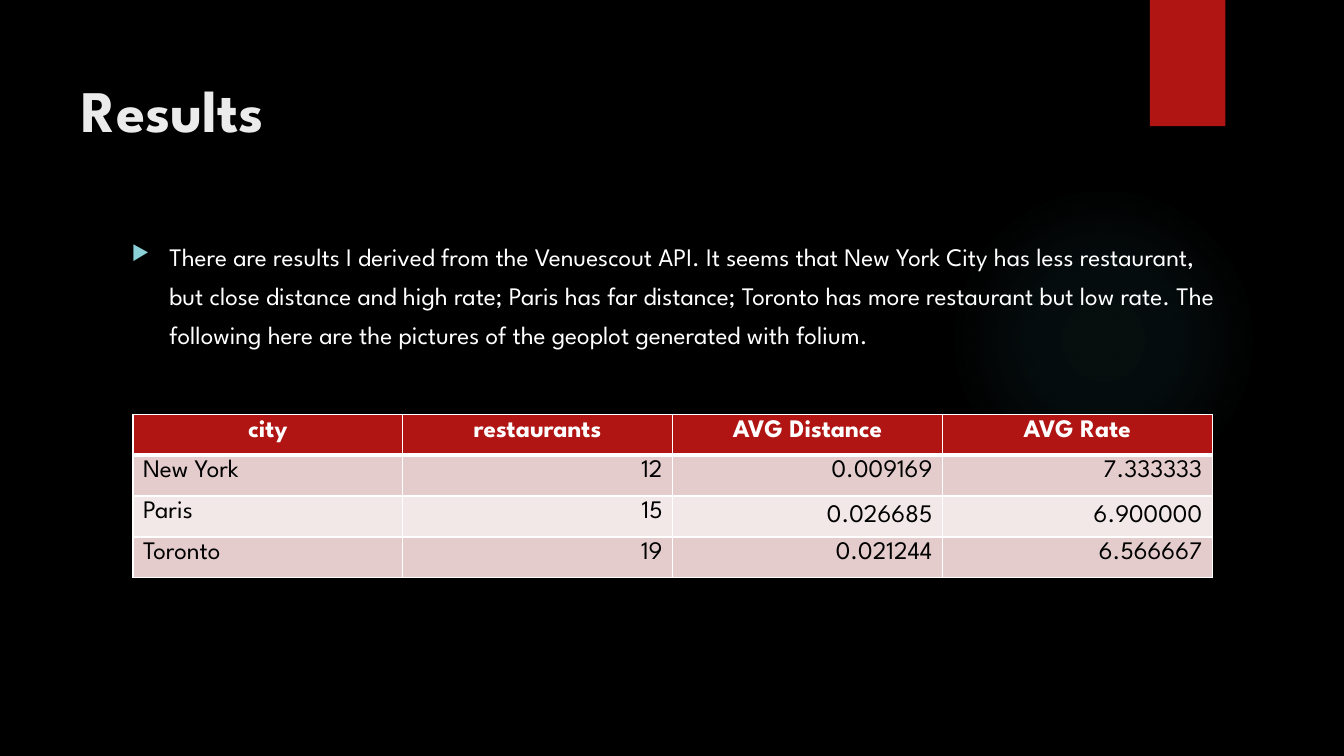
from dataclasses import dataclass
from lxml.etree import SubElement
from pptx import Presentation
from pptx.dml.color import RGBColor
from pptx.enum.shapes import MSO_SHAPE
from pptx.enum.text import MSO_ANCHOR, MSO_AUTO_SIZE, PP_ALIGN
from pptx.oxml import parse_xml
from pptx.oxml.ns import nsdecls, qn
from pptx.util import Cm, Pt

# Content
TITLE = "Results"
BODY = ("There are results I derived from the Venuescout API. It seems that "
        "New York City has less restaurant, but close distance and high rate; "
        "Paris has far distance; Toronto has more restaurant but low rate. The "
        "following here are the pictures of the geoplot generated with folium.")
ROWS = [
    ("city", "restaurants", "AVG Distance", "AVG Rate"),
    ("New York", "12", "0.009169", "7.333333"),
    ("Paris", "15", "0.026685", "6.900000"),
    ("Toronto", "19", "0.021244", "6.566667"),
]
MIDDLE = {(2, 2), (2, 3)}  # cells with vertically centred text
GLOW = [(0, 7), (36, 6), (69, 0)]  # position and opacity, in percent


@dataclass(frozen=True)
class Theme:
    font: str = "League Spartan"
    back: str = "000000"
    ink: str = "000000"
    white: str = "FFFFFF"
    title: str = "EBEBEB"
    red: str = "B01513"
    bands: tuple = ("F2E8E7", "E4CCCC")
    glow: str = "50B9C1"
    bullet: str = "8AD0D6"
    big: int = 42
    small: int = 18


T = Theme()


def paint(fill, color):
    fill.solid()
    fill.fore_color.rgb = RGBColor.from_string(color)


def write(frame, text, size=T.small, color=T.white, bold=False,
          align=PP_ALIGN.LEFT):
    para = frame.paragraphs[0]
    para.alignment = align
    run = para.add_run()
    run.text = text
    font = run.font
    font.name, font.size, font.bold = T.font, Pt(size), bold
    font.color.rgb = RGBColor.from_string(color)
    return para


def shape(slide, kind, *box):
    item = slide.shapes.add_shape(kind, *map(Cm, box))
    item.shadow.inherit = False
    item.line.fill.background()
    return item


def halo(item):
    stops = "".join(
        f'<a:gs pos="{pos * 1000}"><a:srgbClr val="{T.glow}">'
        f'<a:alpha val="{alpha * 1000}"/></a:srgbClr></a:gs>'
        for pos, alpha in GLOW)
    grad = parse_xml(
        f'<a:gradFill {nsdecls("a")} rotWithShape="1"><a:gsLst>{stops}</a:gsLst>'
        '<a:path path="circle"><a:fillToRect l="50000" t="50000" r="50000" '
        'b="50000"/></a:path></a:gradFill>')
    item._element.spPr.find(qn("a:prstGeom")).addnext(grad)


def bullet(para, indent):
    props = para._p.get_or_add_pPr()
    props.set("marL", str(indent))
    props.set("indent", str(-indent))
    tint = SubElement(props, qn("a:buClr"))
    SubElement(tint, qn("a:srgbClr"), val=T.bullet)
    SubElement(props, qn("a:buSzPct"), val="80000")
    SubElement(props, qn("a:buChar"), char="▶")


def border(cell, **widths):
    props = cell._tc.get_or_add_tcPr()
    for spot, side in enumerate("LRTB"):
        line = parse_xml(
            f'<a:ln{side} {nsdecls("a")} w="{Pt(widths.get(side, 1))}">'
            f'<a:solidFill><a:srgbClr val="{T.white}"/></a:solidFill>'
            f'</a:ln{side}>')
        props.insert(spot, line)


def grid(slide, left, top, wide, high):
    count, span = len(ROWS), len(ROWS[0])
    table = slide.shapes.add_table(
        count, span, Cm(left), Cm(top), Cm(wide * span), Cm(high * count)).table
    for col in table.columns:
        col.width = Cm(wide)
    for r, row in enumerate(ROWS):
        table.rows[r].height = Cm(high)
        head = r == 0
        for c, text in enumerate(row):
            cell = table.cell(r, c)
            paint(cell.fill, T.red if head else T.bands[r % 2])
            border(cell, B=3 if head else 1, T=3 if r == 1 else 1)
            cell.vertical_anchor = (
                MSO_ANCHOR.MIDDLE if (r, c) in MIDDLE else MSO_ANCHOR.TOP)
            side = PP_ALIGN.RIGHT if c else PP_ALIGN.LEFT
            write(cell.text_frame, text, bold=head,
                  color=T.white if head else T.ink,
                  align=PP_ALIGN.CENTER if head else side)


def main():
    deck = Presentation()
    deck.slide_width, deck.slide_height = Cm(33.87), Cm(19.05)
    slide = deck.slides.add_slide(deck.slide_layouts[5])
    paint(slide.background.fill, T.back)

    # Soft glow and red tab
    halo(shape(slide, MSO_SHAPE.OVAL, 23.9, 4.65, 7.82, 7.82))
    tab = shape(slide, MSO_SHAPE.RECTANGLE, 28.98, 0, 1.9, 3.18)
    paint(tab.fill, T.red)

    # Title
    head = slide.shapes.title
    head.left, head.top, head.width, head.height = map(
        Cm, (1.8, 1.27, 26.14, 3.89))
    frame = head.text_frame
    frame.auto_size = MSO_AUTO_SIZE.NONE
    frame.vertical_anchor = MSO_ANCHOR.TOP
    frame.margin_top = Cm(0.58)
    write(frame, TITLE, size=T.big, color=T.title, bold=True)

    # Body
    frame = slide.shapes.add_textbox(
        *map(Cm, (3.07, 5.72, 28.07, 3.45))).text_frame
    frame.word_wrap = True
    para = write(frame, BODY)
    para.line_spacing = 1.3
    para.space_before = Pt(10)
    bullet(para, Cm(0.95))

    # Table
    grid(slide, 3.35, 10.44, 6.8, 1.03)
    deck.save("out.pptx")


if __name__ == "__main__":
    main()
